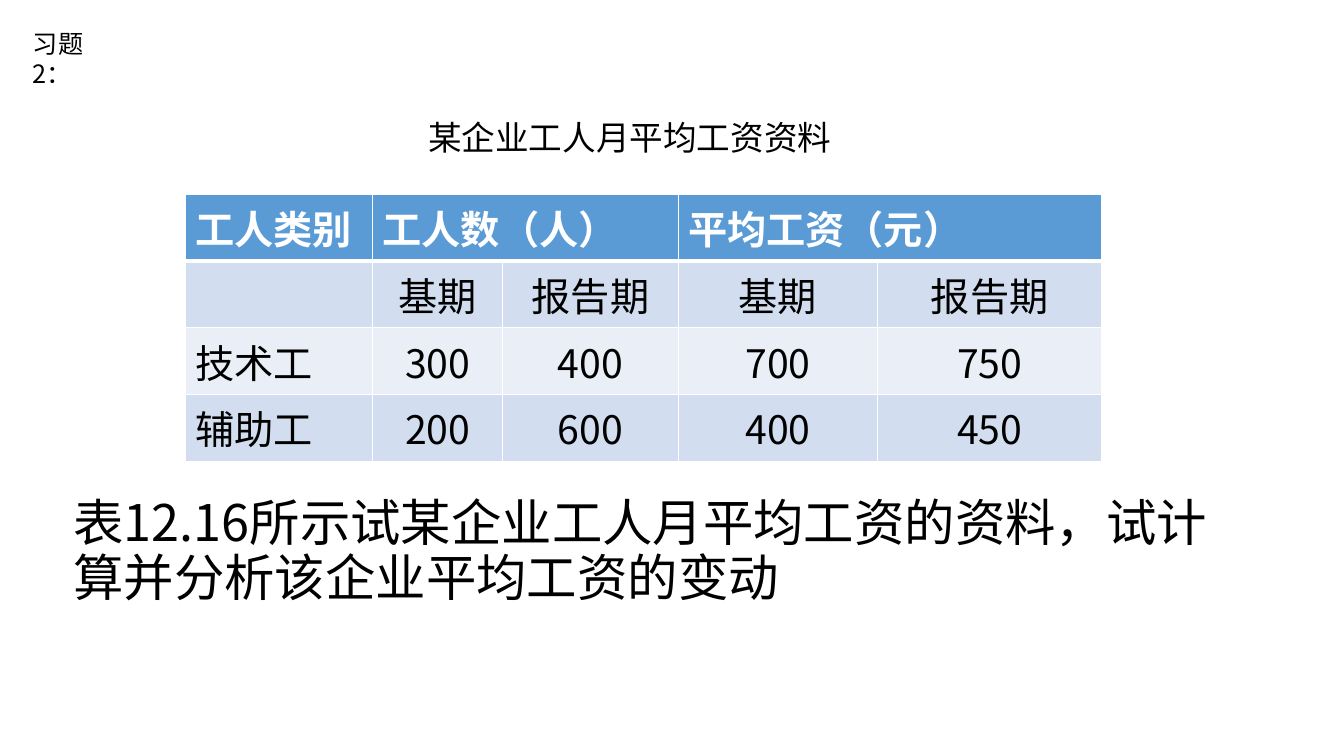
import pptx
import pptx.util
import pptx.dml.color
import pptx.enum.text
import pptx.oxml.ns
import lxml.etree

Cm, Pt = pptx.util.Cm, pptx.util.Pt
ALIGN = pptx.enum.text.PP_ALIGN
ANCHOR = pptx.enum.text.MSO_ANCHOR

# Content
FONT = "Noto Sans CJK SC"
COLORS = {"text": "000000", "header": "5B9BD5", "odd": "D2DEEF",
          "even": "EAEFF7", "white": "FFFFFF"}
EXERCISE = "习题2："
CAPTION = "某企业工人月平均工资资料"
QUESTION = "表12.16所示试某企业工人月平均工资的资料，试计算并分析该企业平均工资的变动"
WAGE_ROWS = [
    ["工人类别", "工人数（人）", "", "平均工资（元）", ""],
    ["", "基期", "报告期", "基期", "报告期"],
    ["技术工", "300", "400", "700", "750"],
    ["辅助工", "200", "600", "400", "450"],
]
COLUMN_WIDTHS = [4.72, 3.28, 4.42, 5.03, 5.64]
ROW_HEIGHT = 1.68
HEADER_SPANS = [(1, 2), (3, 4)]


def color(name):
    return pptx.dml.color.RGBColor.from_string(COLORS[name])


def add_text(para, text, size, color_name="text", bold=False):
    span = para.add_run()
    span.text = text
    span.font.size = Pt(size)
    span.font.bold = bold
    span.font.name = FONT
    span.font.color.rgb = color(color_name)
    east_asian = lxml.etree.SubElement(span.font._element, pptx.oxml.ns.qn("a:ea"))
    east_asian.set("typeface", FONT)


def add_box(page, left, top, width, height, text, size, wrap=True):
    box = page.shapes.add_textbox(Cm(left), Cm(top), Cm(width), Cm(height))
    box.text_frame.word_wrap = wrap
    add_text(box.text_frame.paragraphs[0], text, size)
    return box


def add_border(cell, side, points):
    line = lxml.etree.SubElement(cell._tc.get_or_add_tcPr(), pptx.oxml.ns.qn("a:ln" + side))
    line.set("w", str(Pt(points)))
    fill = lxml.etree.SubElement(line, pptx.oxml.ns.qn("a:solidFill"))
    lxml.etree.SubElement(fill, pptx.oxml.ns.qn("a:srgbClr")).set("val", COLORS["white"])


def add_wage_table(page, left, top):
    frame = page.shapes.add_table(
        len(WAGE_ROWS), len(COLUMN_WIDTHS), Cm(left), Cm(top),
        Cm(sum(COLUMN_WIDTHS)), Cm(ROW_HEIGHT * len(WAGE_ROWS)))
    table = frame.table
    for column, width in zip(table.columns, COLUMN_WIDTHS):
        column.width = Cm(width)
    for first, last in HEADER_SPANS:
        table.cell(0, first).merge(table.cell(0, last))
    for r, texts in enumerate(WAGE_ROWS):
        table.rows[r].height = Cm(ROW_HEIGHT)
        fill_name = "header" if r == 0 else ("odd" if r % 2 else "even")
        for c, text in enumerate(texts):
            cell = table.cell(r, c)
            # The rule under the header row is thicker
            for side in "LRTB":
                thick = (r, side) in [(0, "B"), (1, "T")]
                add_border(cell, side, 3 if thick else 1)
            cell.fill.solid()
            cell.fill.fore_color.rgb = color(fill_name)
            para = cell.text_frame.paragraphs[0]
            para.alignment = ALIGN.CENTER if r and c else ALIGN.LEFT
            if text:
                add_text(para, text, 28, "text" if r else "white", r == 0)


def main():
    deck = pptx.Presentation()
    deck.slide_width, deck.slide_height = Cm(33.87), Cm(19.05)
    page = deck.slides.add_slide(deck.slide_layouts[6])

    # Question below the table
    question = add_box(page, 1.6, 12.09, 29.21, 3.68, QUESTION, 36)
    question.text_frame.vertical_anchor = ANCHOR.MIDDLE
    question.text_frame.paragraphs[0].line_spacing = 0.9

    # Table with its caption, and the exercise number
    add_wage_table(page, 4.67, 4.9)
    add_box(page, 10.54, 2.82, 10.77, 1.27, CAPTION, 24, wrap=False)
    add_box(page, 0.58, 0.58, 2.6, 1.02, EXERCISE, 18)

    deck.save("out.pptx")


if __name__ == "__main__":
    main()
